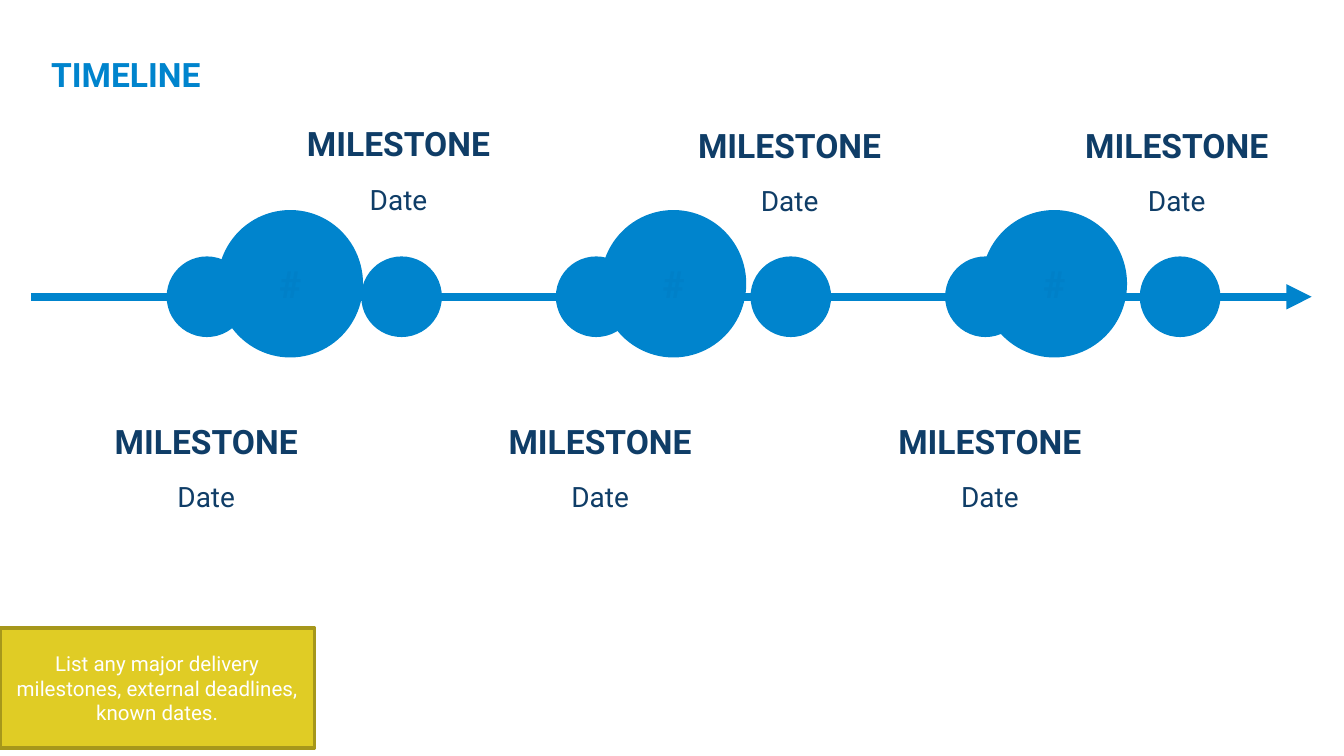
from lxml.etree import SubElement
from pptx import Presentation
from pptx.dml.color import RGBColor
from pptx.enum.shapes import MSO_CONNECTOR as Connector, MSO_SHAPE as Shape
from pptx.enum.text import MSO_ANCHOR as Anchor, PP_ALIGN as Align
from pptx.oxml.ns import qn
from pptx.util import Pt

BLUE, NAVY, YELLOW, OLIVE, WHITE = "0084CD", "0F3D67", "E0CC25", "A6971B", "FFFFFF"
FAINT_BLUE = "0080C8"


def color(value):
    return RGBColor.from_string(value)


def set_formats(target, formats):
    for name, value in formats.items():
        setattr(target, name, value)


class TimelineSlide:
    font_name = "Roboto"
    heading = {"size": Pt(18), "bold": True}
    date = {"size": Pt(15), "bold": False}
    note = {"size": Pt(11), "bold": False}
    number = {"size": Pt(20), "bold": True}

    def __init__(self, deck):
        self.slide = deck.slides.add_slide(deck.slide_layouts[5])

    def fill_text(self, holder, text, style, ink, anchor, align, left_inset=7.2, space=0):
        frame = holder.text_frame
        set_formats(frame, {
            "word_wrap": True, "vertical_anchor": anchor,
            "margin_left": Pt(left_inset), "margin_right": Pt(7.2),
            "margin_top": Pt(3.6), "margin_bottom": Pt(3.6),
        })
        paragraph = frame.paragraphs[0]
        set_formats(paragraph, {"alignment": align, "space_before": Pt(space)})
        run = paragraph.add_run()
        run.text = text
        set_formats(run.font, {"name": self.font_name, **style})
        run.font.color.rgb = color(ink)

    def title(self, text, left, top, width, height):
        title = self.slide.shapes.title
        set_formats(title, {"left": Pt(left), "top": Pt(top),
                            "width": Pt(width), "height": Pt(height)})
        self.fill_text(title, text, self.heading, BLUE, Anchor.TOP, Align.LEFT, 0)

    def label(self, text, left, top, style, anchor):
        label = self.slide.shapes.add_textbox(Pt(left), Pt(top), Pt(198.7), Pt(33.1))
        self.fill_text(label, text, style, NAVY, anchor, Align.CENTER, 5, 10)

    def milestone(self, left, top):
        self.label("MILESTONE", left, top, self.heading, Anchor.BOTTOM)
        self.label("Date", left, top + 36, self.date, Anchor.TOP)

    def shape(self, kind, left, top, width, height, fill, border=None):
        shape = self.slide.shapes.add_shape(kind, Pt(left), Pt(top), Pt(width), Pt(height))
        shape.shadow.inherit = False
        shape.fill.solid()
        shape.fill.fore_color.rgb = color(fill)
        if border:
            shape.line.color.rgb = color(border)
            shape.line.width = Pt(2)
        else:
            shape.line.fill.background()
        return shape

    def dot(self, center, middle, width, height):
        return self.shape(Shape.OVAL, center - width / 2, middle - height / 2,
                          width, height, BLUE)

    def numbered_dot(self, center, middle):
        dot = self.dot(center, middle, 78, 79)
        self.fill_text(dot, "#", self.number, FAINT_BLUE, Anchor.MIDDLE, Align.CENTER)

    def arrow(self, start, end, height):
        arrow = self.slide.shapes.add_connector(
            Connector.STRAIGHT, Pt(start), Pt(height), Pt(end), Pt(height))
        arrow.line.color.rgb = color(BLUE)
        arrow.line.width = Pt(4.5)
        properties = arrow.element.spPr
        SubElement(properties.find(qn("a:ln")), qn("a:tailEnd"), type="triangle")
        SubElement(properties, qn("a:effectLst"))

    def reminder(self, text, left, top, width, height):
        reminder = self.shape(Shape.RECTANGLE, left, top, width, height, YELLOW, OLIVE)
        self.fill_text(reminder, text, self.note, WHITE, Anchor.MIDDLE, Align.CENTER)


def main():
    deck = Presentation()
    set_formats(deck, {"slide_width": Pt(720), "slide_height": Pt(405)})
    timeline = TimelineSlide(deck)
    axis = 159
    timeline.title("TIMELINE", 27.4, 25.2, 666, 33.1)
    for step in range(6):
        timeline.dot(110.9 + step * 104.26, axis, 43.2, 43.2)
    timeline.arrow(16.6, 702.7, axis)
    for center in (155.5, 360.8, 564.8):
        timeline.numbered_dot(center, 152)
    for left, top in ((12.2, 217.4), (223.2, 217.4), (432, 217.4),
                      (115.2, 58), (324.7, 59), (532.1, 59)):
        timeline.milestone(left, top)
    timeline.reminder(
        "List any major delivery milestones, external deadlines, known dates.",
        0, 336.6, 168.5, 64)
    deck.save("out.pptx")


if __name__ == "__main__":
    main()
